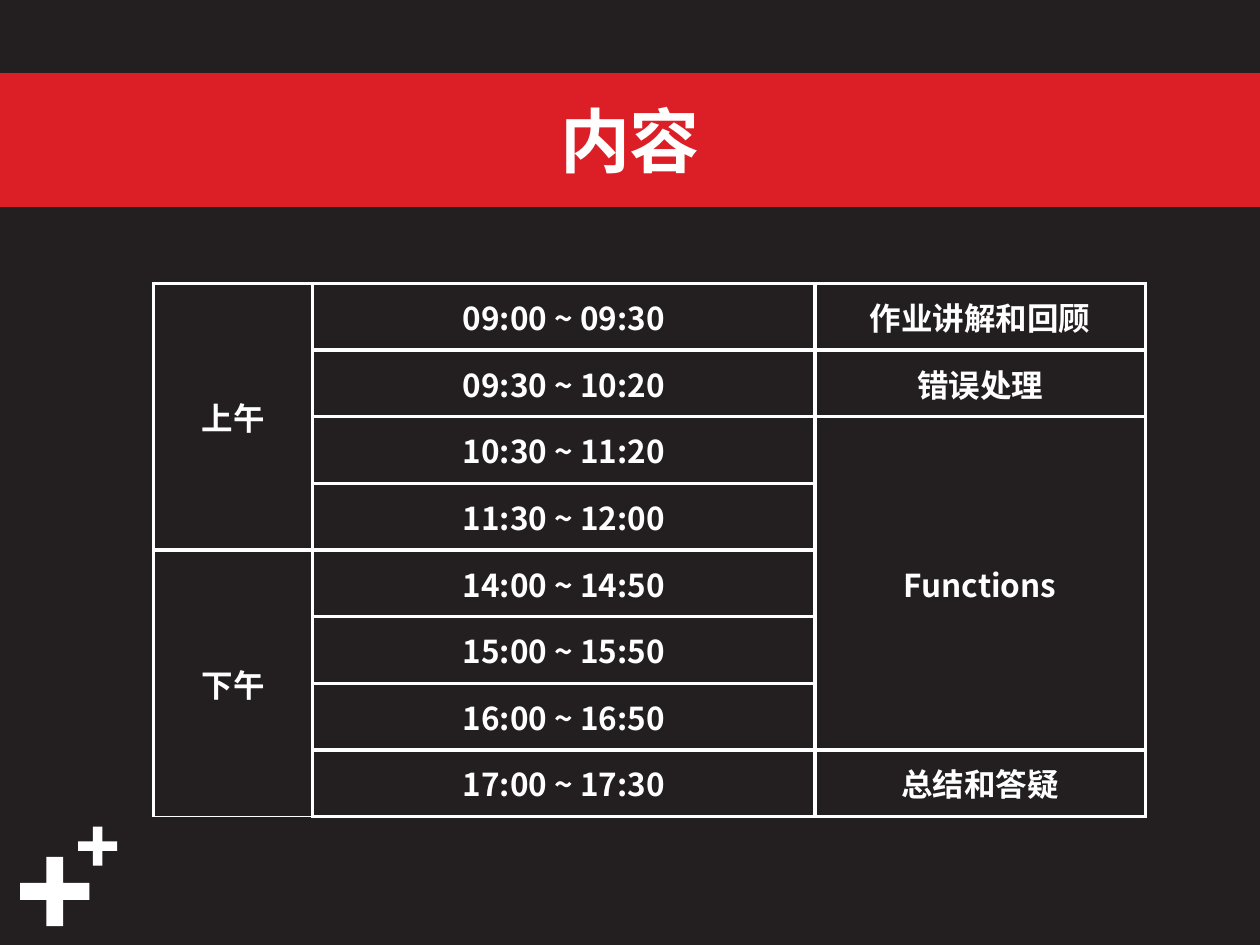
import pptx
import pptx.util
import pptx.dml.color
import pptx.enum.shapes
import pptx.enum.text
import pptx.oxml.ns
from dataclasses import dataclass
from lxml import etree
from pptx.util import Inches, Pt


@dataclass(frozen=True)
class Theme:
    """Colours, font and type sizes of the slide."""
    dark = pptx.dml.color.RGBColor.from_string("231F20")
    red = pptx.dml.color.RGBColor.from_string("DC1F26")
    white = pptx.dml.color.RGBColor.from_string("FFFFFF")
    font = "Noto Sans CJK SC"
    title_size = 40
    body_size = 18
    border = 2.25


def write(frame, text, size):
    """Put one centred bold white run into a text frame."""
    paragraph = frame.paragraphs[0]
    paragraph.alignment = pptx.enum.text.PP_ALIGN.CENTER
    run = paragraph.add_run()
    run.text = text
    run.font.size = Pt(size)
    run.font.bold = True
    run.font.color.rgb = Theme.white
    run.font.name = Theme.font
    east_asian = etree.SubElement(run.font._element, pptx.oxml.ns.qn("a:ea"))
    east_asian.set("typeface", Theme.font)


def border(cell, edges):
    """Draw white lines on the given edges (L, R, T, B) of a cell."""
    properties = cell._tc.get_or_add_tcPr()
    for edge in edges:
        line = etree.SubElement(properties, pptx.oxml.ns.qn(f"a:ln{edge}"),
                                w=str(Pt(Theme.border)))
        fill = etree.SubElement(line, pptx.oxml.ns.qn("a:solidFill"))
        etree.SubElement(fill, pptx.oxml.ns.qn("a:srgbClr"), val=str(Theme.white))


deck = pptx.Presentation()
deck.slide_width, deck.slide_height = Inches(10), Inches(7.5)
slide = deck.slides.add_slide(deck.slide_layouts[5])
slide.background.fill.solid()
slide.background.fill.fore_color.rgb = Theme.dark

# Title band across the full width
title = slide.shapes.title
title.left, title.top = 0, Inches(0.6)
title.width, title.height = deck.slide_width, Inches(1.02)
title.fill.solid()
title.fill.fore_color.rgb = Theme.red
title.line.color.rgb = Theme.red
title.line.width = Pt(3)
title.text_frame.vertical_anchor = pptx.enum.text.MSO_ANCHOR.MIDDLE
write(title.text_frame, "内容", Theme.title_size)

# Plus signs in the lower left corner
for left, top, size in [(0.16, 6.8, 0.55), (0.62, 6.56, 0.31)]:
    plus = slide.shapes.add_shape(pptx.enum.shapes.MSO_SHAPE.CROSS, Inches(left),
                                  Inches(top), Inches(size), Inches(size))
    plus.adjustments[0] = 0.378
    plus.shadow.inherit = False
    plus.fill.solid()
    plus.fill.fore_color.rgb = Theme.white
    plus.line.fill.background()

# Timetable: each column lists its entries with the number of rows they span
times = ["09:00 ~ 09:30", "09:30 ~ 10:20", "10:30 ~ 11:20", "11:30 ~ 12:00",
         "14:00 ~ 14:50", "15:00 ~ 15:50", "16:00 ~ 16:50", "17:00 ~ 17:30"]
columns = [
    (1.26, [("上午", 4), ("下午", 4)]),
    (3.99, [(time, 1) for time in times]),
    (2.62, [("作业讲解和回顾", 1), ("错误处理", 1), ("Functions", 5), ("总结和答疑", 1)]),
]
timetable = slide.shapes.add_table(len(times), len(columns), Inches(1.22), Inches(2.25),
                                   Inches(7.87), Inches(4.23)).table
timetable.first_row = False
timetable.horz_banding = False

for column, (width, entries) in enumerate(columns):
    timetable.columns[column].width = Inches(width)
    first = 0
    for text, span in entries:
        last = first + span - 1
        for row in range(first, last + 1):
            cell = timetable.cell(row, column)
            border(cell, "LR" + "T" * (row == first) + "B" * (row == last))
            cell.fill.solid()
            cell.fill.fore_color.rgb = Theme.dark
        entry = timetable.cell(first, column)
        if span > 1:
            entry.merge(timetable.cell(last, column))
        entry.vertical_anchor = pptx.enum.text.MSO_ANCHOR.MIDDLE
        write(entry.text_frame, text, Theme.body_size)
        first += span

deck.save("out.pptx")
